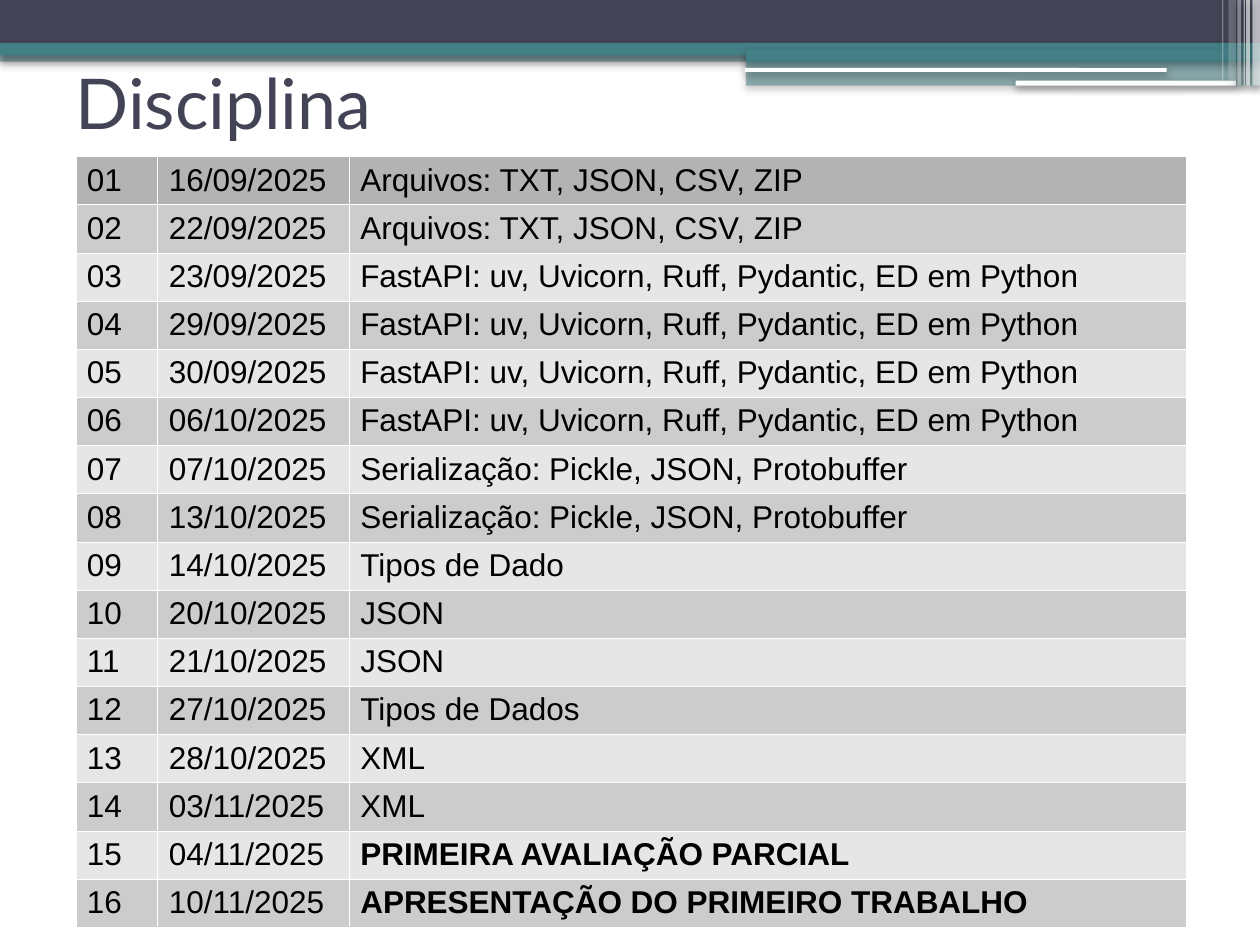
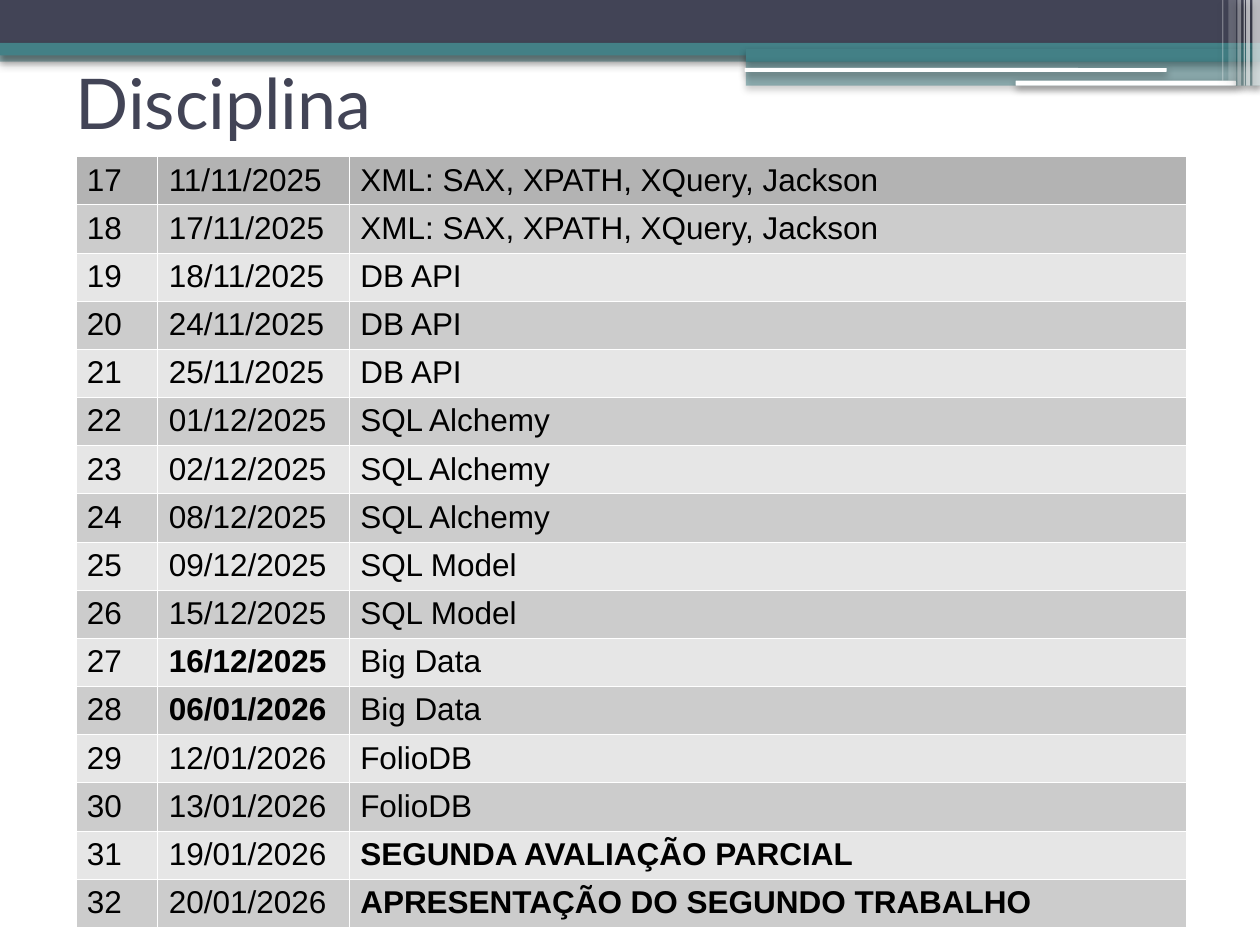
"""Builds the two-slide class schedule of the course."""
from lxml import etree
from pptx import Presentation
from pptx import util as u
from pptx.dml.color import RGBColor
from pptx.enum import shapes, text
from pptx.oxml import parse_xml
from pptx.oxml.ns import nsdecls, qn

PX = 9144
NAVY = RGBColor(0x42, 0x44, 0x56)
TEAL = RGBColor(0x43, 0x80, 0x86)
WHITE = RGBColor(0xFF, 0xFF, 0xFF)
BLACK = RGBColor(0, 0, 0)
FIRST_ROW = RGBColor(0xB3, 0xB3, 0xB3)
STRIPES = [RGBColor(0xE6, 0xE6, 0xE6), RGBColor(0xCC, 0xCC, 0xCC)]

SHADOW = f"""<a:effectLst {nsdecls('a')}>
<a:outerShdw blurRad="52070" dist="25400" dir="5400000" rotWithShape="0">
<a:srgbClr val="000000"><a:alpha val="40000"/></a:srgbClr>
</a:outerShdw></a:effectLst>"""
RECT = shapes.MSO_SHAPE.RECTANGLE
ROUND = shapes.MSO_SHAPE.ROUNDED_RECTANGLE
HEADER_BANDS = [
    (RECT, 0, 40, 1000, 9, TEAL, 50),
    (RECT, 0, 0, 1000, 34, NAVY, 100),
    (RECT, 0, 34, 1000, 10, TEAL, 100),
    (RECT, 592, 39, 408, 10, TEAL, 100),
    (RECT, 592, 48, 408, 20, TEAL, 50),
    (ROUND, 591, 54, 335, 3, WHITE, 100),
    (ROUND, 806, 64, 175, 4, WHITE, 100),
    (RECT, 994, 0, 6, 68, WHITE, 65),
    (RECT, 989, 0, 3, 68, WHITE, 65),
    (RECT, 987, 0, 1, 68, WHITE, 60),
    (RECT, 982, 0, 3, 68, WHITE, 40),
    (RECT, 975, 0, 6, 64, WHITE, 20),
    (RECT, 970, 0, 1, 64, WHITE, 30),
]

COLUMN_WIDTHS = [65, 152, 664]
LESSONS_PER_SLIDE = 16
SCHEDULE = [
    ("Arquivos: TXT, JSON, CSV, ZIP", ["16/09/2025", "22/09/2025"]),
    ("FastAPI: uv, Uvicorn, Ruff, Pydantic, ED em Python",
     ["23/09/2025", "29/09/2025", "30/09/2025", "06/10/2025"]),
    ("Serialização: Pickle, JSON, Protobuffer", ["07/10/2025", "13/10/2025"]),
    ("Tipos de Dado", ["14/10/2025"]),
    ("JSON", ["20/10/2025", "21/10/2025"]),
    ("Tipos de Dados", ["27/10/2025"]),
    ("XML", ["28/10/2025", "03/11/2025"]),
    ("PRIMEIRA AVALIAÇÃO PARCIAL", ["04/11/2025"]),
    ("APRESENTAÇÃO DO PRIMEIRO TRABALHO", ["10/11/2025"]),
    ("XML: SAX, XPATH, XQuery, Jackson", ["11/11/2025", "17/11/2025"]),
    ("DB API", ["18/11/2025", "24/11/2025", "25/11/2025"]),
    ("SQL Alchemy", ["01/12/2025", "02/12/2025", "08/12/2025"]),
    ("SQL Model", ["09/12/2025", "15/12/2025"]),
    ("Big Data", ["16/12/2025", "06/01/2026"]),
    ("FolioDB", ["12/01/2026", "13/01/2026"]),
    ("SEGUNDA AVALIAÇÃO PARCIAL", ["19/01/2026"]),
    ("APRESENTAÇÃO DO SEGUNDO TRABALHO", ["20/01/2026"]),
]
BOLD_DATES = {"16/12/2025", "06/01/2026"}
BOLD_TOPIC_STARTS = ("PRIMEIRA", "SEGUNDA", "APRESENTAÇÃO")


def style_run(run, font, size, color, bold=False):
    run.font.name = font
    run.font.size = u.Pt(size)
    run.font.color.rgb = color
    run.font.bold = bold


def format_cell(cell, fill, bold):
    cell.margin_left = cell.margin_right = 9 * PX
    cell.margin_top = 5 * PX
    cell.margin_bottom = 4 * PX
    cell.fill.solid()
    cell.fill.fore_color.rgb = fill
    for position, side in enumerate(("lnL", "lnR", "lnT", "lnB")):
        border = parse_xml(
            f'<a:{side} {nsdecls("a")} w="762"><a:solidFill>'
            f'<a:srgbClr val="{WHITE}"/></a:solidFill></a:{side}>')
        cell._tc.get_or_add_tcPr().insert(position, border)
    style_run(cell.text_frame.paragraphs[0].runs[0], "Arial", 18, BLACK, bold)


prs = Presentation()
prs.slide_width, prs.slide_height = 1000 * PX, 750 * PX
layout = prs.slide_layouts[5]
lessons = [(date, topic) for topic, dates in SCHEDULE for date in dates]

for start in range(0, len(lessons), LESSONS_PER_SLIDE):
    slide = prs.slides.add_slide(layout)

    if start == 0:
        for depth, (kind, x, y, w, h, color, opacity) in enumerate(HEADER_BANDS):
            band = slide.shapes.add_shape(kind, x * PX, y * PX, w * PX, h * PX)
            band.fill.solid()
            band.fill.fore_color.rgb = color
            band.line.fill.background()
            properties = band.element.spPr
            if opacity < 100:
                tint = properties.find(".//" + qn("a:srgbClr"))
                etree.SubElement(tint, qn("a:alpha"), val=str(opacity * 1000))
            properties.append(parse_xml(SHADOW))
            layout.shapes.element.insert(2 + depth, band.element)

    title = slide.shapes.title
    title.left, title.top, title.width, title.height = 50 * PX, 22 * PX, 900 * PX, 117 * PX
    title.text_frame.text = "Disciplina"
    title.text_frame.auto_size = text.MSO_AUTO_SIZE.NONE
    title.text_frame.vertical_anchor = text.MSO_ANCHOR.MIDDLE
    heading = title.text_frame.paragraphs[0]
    heading.alignment = text.PP_ALIGN.LEFT
    style_run(heading.runs[0], "Lato", 40, NAVY)

    calendar = slide.shapes.add_table(
        LESSONS_PER_SLIDE, len(COLUMN_WIDTHS), 60 * PX, 124 * PX,
        sum(COLUMN_WIDTHS) * PX, 612 * PX).table
    calendar.first_row = calendar.horz_banding = False
    for column, width in zip(calendar.columns, COLUMN_WIDTHS):
        column.width = width * PX

    for row, (date, topic) in enumerate(lessons[start:start + LESSONS_PER_SLIDE]):
        fill = STRIPES[row % 2] if row else FIRST_ROW
        entries = [
            (f"{start + row + 1:02}", False),
            (date, date in BOLD_DATES),
            (topic, topic.startswith(BOLD_TOPIC_STARTS)),
        ]
        for col, (entry, bold) in enumerate(entries):
            cell = calendar.cell(row, col)
            cell.text_frame.text = entry
            format_cell(cell, fill, bold)

prs.save("out.pptx")
